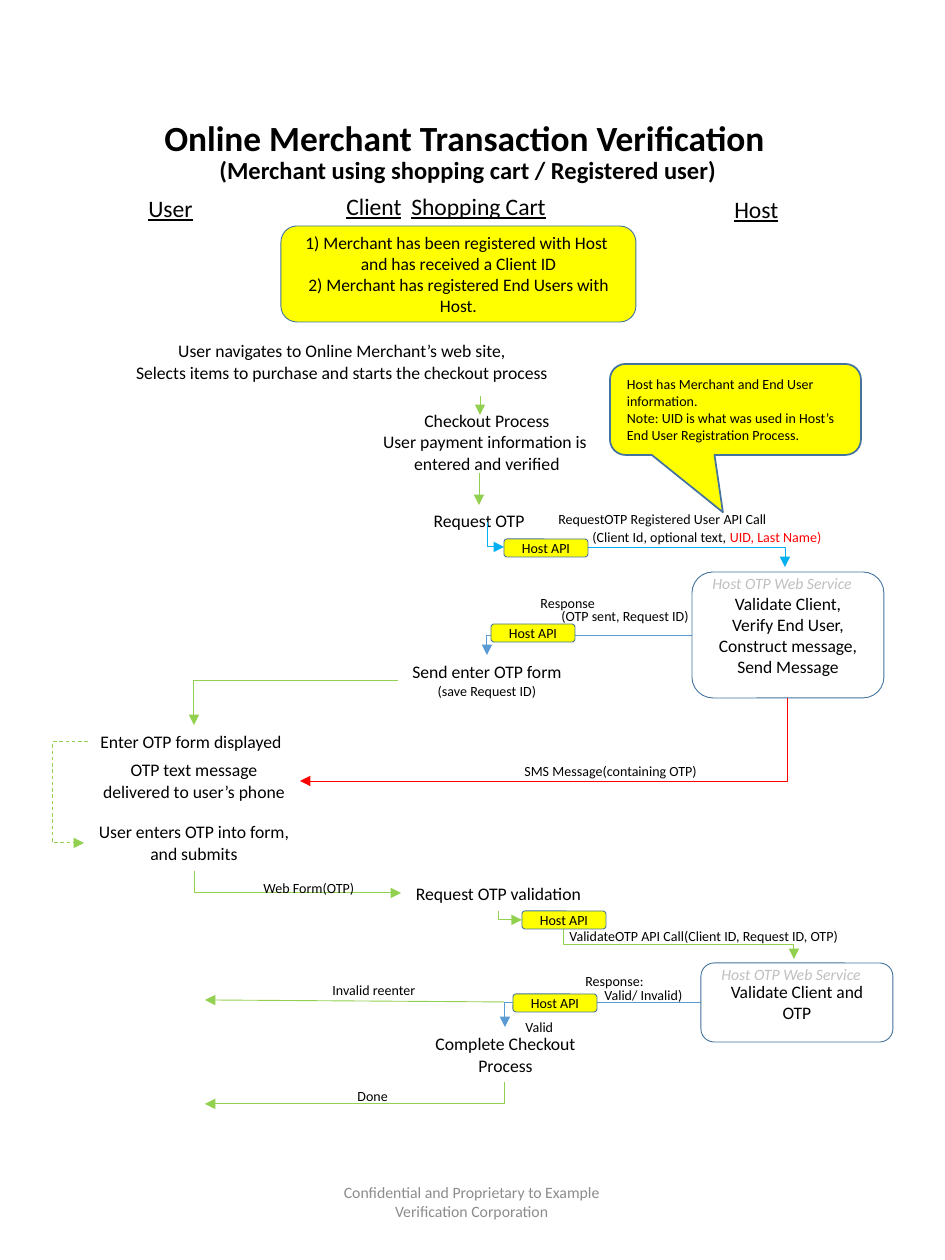
from dataclasses import dataclass

from pptx import Presentation
from pptx.dml.color import RGBColor
from pptx.enum.dml import MSO_LINE
from pptx.enum.shapes import MSO_CONNECTOR, MSO_SHAPE
from pptx.enum.text import MSO_ANCHOR, MSO_AUTO_SIZE, PP_ALIGN
from pptx.oxml.ns import qn
from pptx.slide import Slide
from pptx.util import Pt
from lxml import etree

EMU_PER_PX = 914400 // 126
LEFT, CENTER = PP_ALIGN.LEFT, PP_ALIGN.CENTER
MIDDLE = MSO_ANCHOR.MIDDLE
FIT_SHAPE = MSO_AUTO_SIZE.SHAPE_TO_FIT_TEXT
ROUNDED, CALLOUT = MSO_SHAPE.ROUNDED_RECTANGLE, MSO_SHAPE.ROUNDED_RECTANGULAR_CALLOUT
STRAIGHT, ELBOW = MSO_CONNECTOR.STRAIGHT, MSO_CONNECTOR.ELBOW
DASH = MSO_LINE.DASH

COLORS = {
    "text": "000000", "muted": "BFBFBF", "footer": "8C8C8C", "red": "FF0000",
    "yellow": "FFFF00", "outline": "43739E", "green": "92D050",
    "sky": "00B0F0", "blue": "5B9BD5",
}
TITLE = {"size": Pt(20.2), "bold": True}
SUBTITLE = {"size": Pt(14), "bold": True}
HEADING = {"size": Pt(13.5), "underline": True}
STEP = {"size": Pt(10.1)}
BODY = {"size": Pt(10)}
SMALL = {"size": Pt(8)}
SERVICE = {"size": Pt(9), "italic": True}
FOOTER = {"size": Pt(9)}


def px(value):
    """Turn pixels into EMU."""
    return round(value * EMU_PER_PX)


def rgb(name):
    """Look up a colour by name."""
    return RGBColor.from_string(COLORS[name])


def add_run(paragraph, text, style, color="text"):
    """Append one formatted run."""
    run = paragraph.add_run()
    run.text = text
    for attribute, value in {"name": "Calibri", **style}.items():
        setattr(run.font, attribute, value)
    run.font.color.rgb = rgb(color)


def write(frame, text, style, color, align):
    """Fill a text frame, one paragraph for each line."""
    for index, line in enumerate(text.split("\n")):
        paragraph = frame.add_paragraph() if index else frame.paragraphs[0]
        paragraph.alignment = align
        add_run(paragraph, line, style, color)


@dataclass
class Region:
    """A part of the slide; its members are placed from its top left corner."""
    slide: Slide
    left: int
    top: int

    def at(self, x, y):
        """Turn a point of the region into slide EMU."""
        return px(self.left + x), px(self.top + y)

    def label(self, box, text, style=SMALL, color="text", align=LEFT, wrap=False):
        """Add plain text."""
        x, y, width, height = box
        frame = self.slide.shapes.add_textbox(*self.at(x, y), px(width), px(height)).text_frame
        frame.word_wrap = wrap
        frame.auto_size = FIT_SHAPE
        write(frame, text, style, color, align)
        return frame

    def step(self, box, text, wrap=False):
        """Add a centred process step."""
        return self.label(box, text, STEP, align=CENTER, wrap=wrap)

    def panel(self, box, text, style=BODY, fill="yellow", kind=ROUNDED, align=CENTER, line=0.5):
        """Add an outlined box with text."""
        x, y, width, height = box
        shape = self.slide.shapes.add_shape(kind, *self.at(x, y), px(width), px(height))
        shape.shadow.inherit = False
        if fill:
            shape.fill.solid()
            shape.fill.fore_color.rgb = rgb(fill)
        else:
            shape.fill.background()
        shape.line.color.rgb = rgb("outline")
        shape.line.width = Pt(line)
        shape.text_frame.word_wrap = True
        shape.text_frame.vertical_anchor = MIDDLE
        write(shape.text_frame, text, style, "text", align)
        return shape

    def api(self, x, y):
        """Add an API tag."""
        self.panel((x, y, 84, 18), "Host API", SMALL)

    def service(self, box, label_height, text):
        """Add a web service box with its caption."""
        x, y, width, height = box
        self.panel(box, text, fill=None)
        self.label((x + 8, y - 4, 169, label_height), "Host OTP Web Service", SERVICE, "muted")

    def arrow(self, start, end, color="green", kind=STRAIGHT, arrow_end="tailEnd"):
        """Add a connector with an arrowhead."""
        link = self.slide.shapes.add_connector(kind, *self.at(*start), *self.at(*end))
        link.line.color.rgb = rgb(color)
        link.line.width = Pt(0.5)
        properties = link.element.spPr
        etree.SubElement(properties.find(qn("a:ln")), qn(f"a:{arrow_end}"), type="triangle")
        etree.SubElement(properties, qn("a:effectLst"))
        return link

    def across(self, start, end, color="green", arrow_end="tailEnd"):
        """Add an arrow that runs sideways, then turns up or down."""
        link = self.arrow(start, end, color, ELBOW, arrow_end)
        link.element.spPr.find(qn("a:prstGeom")).set("prst", "bentConnector2")

    def down(self, start, end, color="green"):
        """Add an arrow that runs up or down, then turns sideways."""
        self.across(end, start, color, "headEnd")

    def around(self, start, end, via_x):
        """Add a dashed arrow that passes outside its ends at via_x."""
        link = self.arrow(start, end, kind=ELBOW)
        link.line.dash_style = DASH
        share = (via_x - start[0]) / (end[0] - start[0])
        guides = link.element.spPr.find(qn("a:prstGeom")).get_or_add_avLst()
        etree.SubElement(guides, qn("a:gd"), name="adj1", fmla=f"val {round(share * 100000)}")

    def stepped(self, start, end):
        """Add an arrow that runs down, right and down again."""
        (x1, y1), (x2, y2) = start, end
        middle_x, middle_y = (x1 + x2) / 2, (y1 + y2) / 2
        half_w, half_h = (y2 - y1) / 2, (x2 - x1) / 2
        link = self.arrow((middle_x - half_w, middle_y + half_h),
                          (middle_x + half_w, middle_y - half_h), kind=ELBOW)
        link.element.spPr.find(qn("a:xfrm")).set("rot", "5400000")


def header(area):
    """Title, subtitle and lane headings."""
    area.label((16, 0, 636, 55), "Online Merchant Transaction Verification", TITLE)
    area.label((71, 39, 525, 43), "(Merchant using shopping cart / Registered user)", SUBTITLE)
    for x, y, width, text in [(0, 78, 71, "User"), (198, 76, 82, "Client"),
                              (263, 76, 163, "Shopping Cart"), (586, 79, 72, "Host")]:
        area.label((x, y, width, 42), text, HEADING)


def checkout(area):
    """Preconditions and checkout steps."""
    area.panel((165, 0, 355, 96), "1) Merchant has been registered with Host \n"
               "and has received a Client ID\n2) Merchant has registered End Users with Host.")
    area.step((0, 108, 452, 55), "User navigates to Online Merchant’s web site,\n"
              "Selects items to purchase and starts the checkout process", wrap=True)
    area.step((252, 178, 238, 77),
              "Checkout Process\nUser payment information is \nentered and verified")
    area.arrow((364, 170), (364, 189))
    area.arrow((363, 247), (363, 279))
    note = area.panel((494, 138, 251, 91), "Host has Merchant and End User information.\n"
                      "Note: UID is what was used in Host’s End User Registration Process.",
                      SMALL, kind=CALLOUT, align=LEFT, line=1)
    for index, value in enumerate((-0.05, 1.13, 0.17)):
        note.adjustments[index] = value


def request(area):
    """OTP request, service call and response."""
    area.step((22, 0, 118, 34), "Request OTP")
    area.label((148, 0, 237, 30), "RequestOTP Registered User API Call", wrap=True)
    parameters = area.label((182, 18, 257, 30), "(Client Id, optional text, ")
    add_run(parameters.paragraphs[0], "UID, Last Name)", SMALL, "red")
    area.down((90, 18), (106, 43), "sky")
    area.across((190, 43), (387, 63), "sky")
    area.across((294, 131), (89, 151), "blue")
    area.api(106, 35)
    area.api(93, 120)
    area.service((294, 68, 192, 126), 32,
                 "Validate Client,\nVerify End User,\nConstruct message,\nSend Message")
    area.label((130, 84, 81, 30), "Response")
    area.label((151, 97, 154, 30), "(OTP sent, Request ID)")
    form = area.step((0, 151, 178, 52), "Send enter OTP form")
    save = form.add_paragraph()
    save.alignment = CENTER
    add_run(save, "(save Request ID)", SMALL)


def delivery(area):
    """OTP form and text message on the user's side."""
    area.across((345, 0), (141, 45))
    area.label((35, 45, 212, 34), "Enter OTP form displayed", STEP)
    area.down((734, 18), (247, 101), "red")
    area.step((36, 73, 210, 55), "OTP text message\ndelivered to user’s phone")
    area.step((31, 135, 220, 55), "User enters OTP into form,\nand submits")
    area.label((459, 76, 200, 30), "SMS Message(containing OTP)")
    area.around((35, 62), (31, 163), 0)


def validation(area):
    """OTP validation and its outcomes."""
    area.down((0, 1), (207, 23))
    area.down((305, 41), (328, 50))
    area.stepped((370, 59), (600, 89))
    area.across((507, 133), (311, 157), "blue")
    area.arrow((310, 132), (11, 130))
    area.down((311, 212), (11, 234))
    area.step((207, 7, 195, 34), "Request OTP validation", wrap=True)
    area.step((208, 157, 207, 55), "Complete Checkout Process", wrap=True)
    area.api(328, 41)
    area.api(319, 124)
    area.service((507, 93, 192, 79), 20, "Validate Client and OTP")
    for x, y, width, text in [
            (57, 3, 117, "Web Form(OTP)"), (126, 105, 110, "Invalid reenter"),
            (319, 142, 54, "Valid"), (151, 211, 57, "Done"),
            (363, 51, 304, "ValidateOTP API Call(Client ID, Request ID, OTP)"),
            (379, 96, 88, "Response:"), (398, 110, 107, "Valid/ Invalid)")]:
        area.label((x, y, width, 30), text, wrap=width > 300)


def footer(area):
    """Confidentiality line."""
    frame = area.label((0, 0, 319, 67), "Confidential and Proprietary to Example "
                       "Verification Corporation", FOOTER, "footer", CENTER, True)
    frame.auto_size = MSO_AUTO_SIZE.NONE
    frame.vertical_anchor = MIDDLE


deck = Presentation()
deck.slide_width, deck.slide_height = px(945), px(1260)
page = deck.slides.add_slide(deck.slide_layouts[6])
for build, left, top in [(header, 136, 110), (checkout, 116, 226), (request, 398, 504),
                         (delivery, 53, 680), (validation, 194, 870), (footer, 312, 1168)]:
    build(Region(page, left, top))
deck.save("out.pptx")
